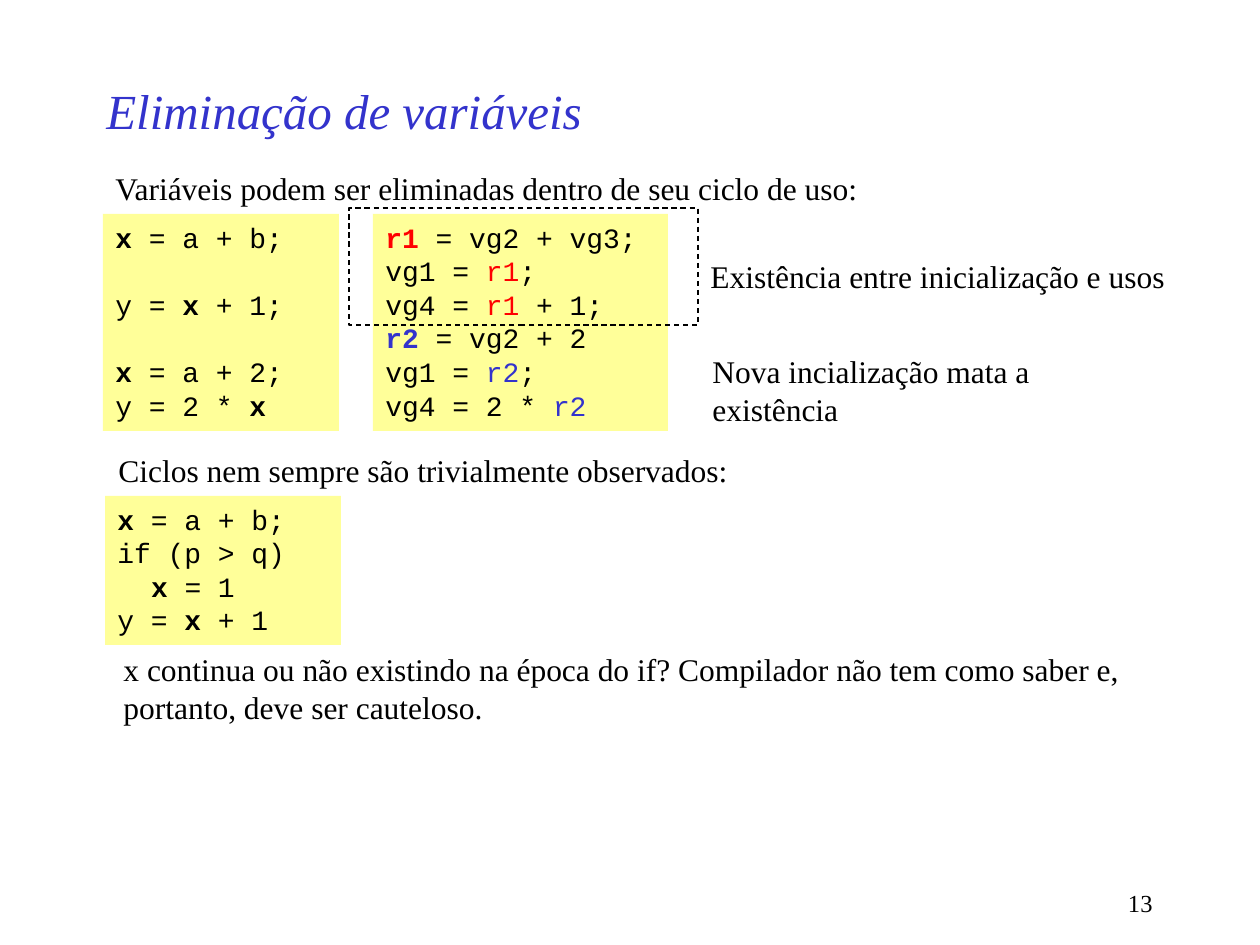
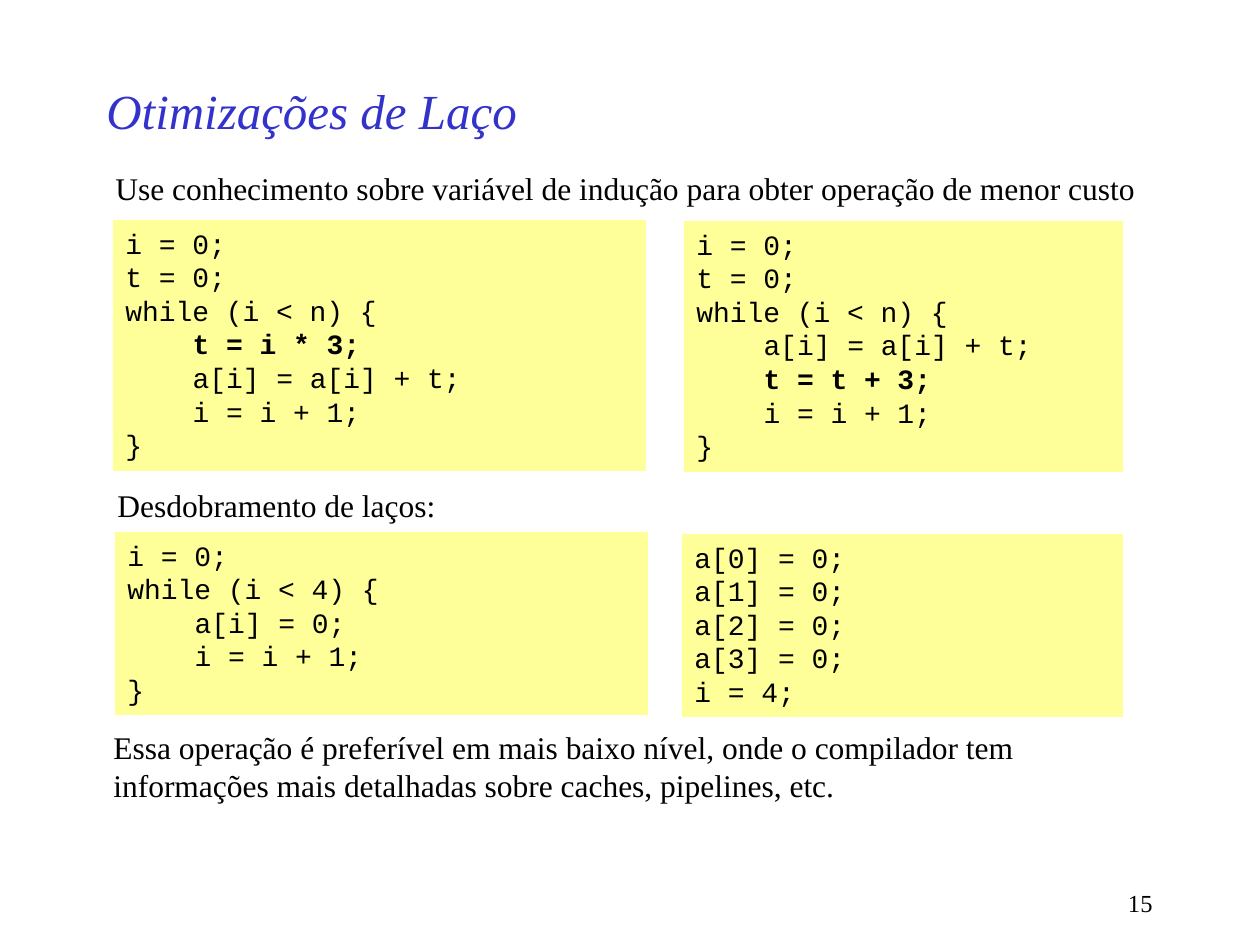
from dataclasses import dataclass

from pptx import Presentation
from pptx.dml.color import RGBColor
from pptx.enum.dml import MSO_LINE_DASH_STYLE as Dash
from pptx.enum.shapes import MSO_SHAPE as Shape
from pptx.enum.text import MSO_ANCHOR as Anchor, MSO_AUTO_SIZE as AutoSize, PP_ALIGN as Align
from pptx.util import Emu, Pt

PIXEL = 914400 // 126
BLACK = RGBColor(0x00, 0x00, 0x00)
BLUE = RGBColor(0x33, 0x33, 0xCC)
RED = RGBColor(0xFF, 0x00, 0x00)
YELLOW = RGBColor(0xFF, 0xFF, 0x99)
SERIF = "Times New Roman"
MONO = "Courier New"
CODE_SIZE = 16
CODE_CHARACTER = 0.6 * CODE_SIZE
CODE_LINE = 1.2 * CODE_SIZE


@dataclass
class Span:
    text: str
    bold: bool = False
    color: RGBColor = BLACK


@dataclass
class Line:
    spans: list
    indent: int = 0
    blank_before: int = 0


def strong(text, color=BLACK):
    return Span(text, True, color)


def code(*parts, indent=0, blank_before=0):
    spans = [Span(part) if isinstance(part, str) else part for part in parts]
    return Line(spans, indent, blank_before)


def place(frame):
    return [Emu(length * PIXEL) for length in frame]


def add_span(para, span, font, size, italic=False):
    run = para.add_run()
    run.text = span.text
    run.font.name = font
    run.font.size = Pt(size)
    run.font.bold = span.bold
    run.font.italic = italic
    run.font.color.rgb = span.color


def add_text(page, frame, text, size=18, color=BLACK, italic=False,
             align=Align.LEFT, anchor=Anchor.TOP, grow=True):
    box = page.shapes.add_textbox(*place(frame))
    body = box.text_frame
    body.word_wrap = True
    body.auto_size = AutoSize.SHAPE_TO_FIT_TEXT if grow else AutoSize.NONE
    body.vertical_anchor = anchor
    para = body.paragraphs[0]
    para.alignment = align
    add_span(para, Span(text, color=color), SERIF, size, italic)


def add_rectangle(page, frame):
    box = page.shapes.add_shape(Shape.RECTANGLE, *place(frame))
    box.shadow.inherit = False
    return box


def add_code(page, frame, lines):
    box = add_rectangle(page, frame)
    box.fill.solid()
    box.fill.fore_color.rgb = YELLOW
    box.line.fill.background()
    body = box.text_frame
    body.word_wrap = True
    body.auto_size = AutoSize.SHAPE_TO_FIT_TEXT
    body.vertical_anchor = Anchor.TOP
    for index, line in enumerate(lines):
        para = body.add_paragraph() if index else body.paragraphs[0]
        para.alignment = Align.LEFT
        para.space_before = Pt(line.blank_before * CODE_LINE)
        properties = para._p.get_or_add_pPr()
        properties.set("marL", str(Pt(line.indent * CODE_CHARACTER)))
        properties.set("indent", "0")
        for span in line.spans:
            add_span(para, span, MONO, CODE_SIZE)


def add_dashed_frame(page, frame):
    box = add_rectangle(page, frame)
    box.fill.background()
    box.line.color.rgb = BLACK
    box.line.width = Pt(0.75)
    box.line.dash_style = Dash.DASH


def add_page(deck, title, number):
    page = deck.slides.add_slide(deck.slide_layouts[6])
    add_text(page, (94, 63, 945, 94), title, 28, BLUE, italic=True,
             anchor=Anchor.MIDDLE, grow=False)
    add_text(page, (903, 882, 262, 42), number, 14, align=Align.RIGHT, grow=False)
    return page


def build_variables(deck):
    page = add_page(deck, "Eliminação de variáveis", "13")
    x = strong("x")
    first, second = Span("r1", color=RED), Span("r2", color=BLUE)
    add_code(page, (103, 214, 236, 217), [
        code(x, " = a + b;"),
        code("y = ", x, " + 1;", blank_before=1),
        code(x, " = a + 2;", blank_before=1),
        code("y = 2 * ", x),
    ])
    add_text(page, (103, 163, 828, 50),
             "Variáveis podem ser eliminadas dentro de seu ciclo de uso:")
    add_code(page, (373, 214, 295, 217), [
        code(strong("r1 ", RED), "= vg2 + vg3;"),
        code("vg1 = ", first, ";"),
        code("vg4 = ", first, " + 1;"),
        code(strong("r2", BLUE), " = vg2 + 2"),
        code("vg1 = ", second, ";"),
        code("vg4 = 2 * ", second),
    ])
    add_text(page, (698, 251, 499, 50), "Existência entre inicialização e usos")
    add_text(page, (700, 346, 476, 50), "Nova incialização mata a existência")
    add_dashed_frame(page, (349, 208, 349, 117))
    add_code(page, (105, 496, 236, 149), [
        code(x, " = a + b;"),
        code("if (p > q)"),
        code(strong("x "), "= 1", indent=2),
        code("y = ", x, " + 1"),
    ])
    add_text(page, (106, 445, 828, 50),
             "Ciclos nem sempre são trivialmente observados:")
    add_text(page, (111, 644, 1043, 89),
             "x continua ou não existindo na época do if? Compilador não tem "
             "como saber e, portanto, deve ser cauteloso.")


def build_loops(deck):
    page = add_page(deck, "Otimizações de Laço", "15")
    start = [code("i = 0;"), code("t = 0;"), code("while (i < n) {")]
    store = code("a[i] = a[i] + t;", indent=4)
    finish = [code("i = i + 1;", indent=4), code("}")]
    multiply = code(strong("t = i * 3;"), indent=4)
    increase = code(strong("t = t + 3;"), indent=4)
    add_code(page, (113, 220, 533, 251), [*start, multiply, store, *finish])
    add_text(page, (103, 163, 1060, 50),
             "Use conhecimento sobre variável de indução para obter operação de menor custo")
    add_code(page, (684, 221, 439, 251), [*start, store, increase, *finish])
    add_code(page, (115, 532, 533, 183), [
        code("i = 0;"),
        code("while (i < 4) {"),
        code("a[i] = 0;", indent=4),
        *finish,
    ])
    unrolled = [code(f"a[{index}] = 0;") for index in range(4)]
    add_code(page, (682, 534, 441, 183), [*unrolled, code("i = 4;")])
    add_text(page, (101, 722, 1021, 89),
             "Essa operação é preferível em mais baixo nível, onde o compilador tem "
             "informações mais detalhadas sobre caches, pipelines, etc.")
    add_text(page, (105, 480, 1060, 50), "Desdobramento de laços:")


def main():
    deck = Presentation()
    deck.slide_width, deck.slide_height = place((1260, 945))
    build_variables(deck)
    build_loops(deck)
    deck.save("out.pptx")


main()
